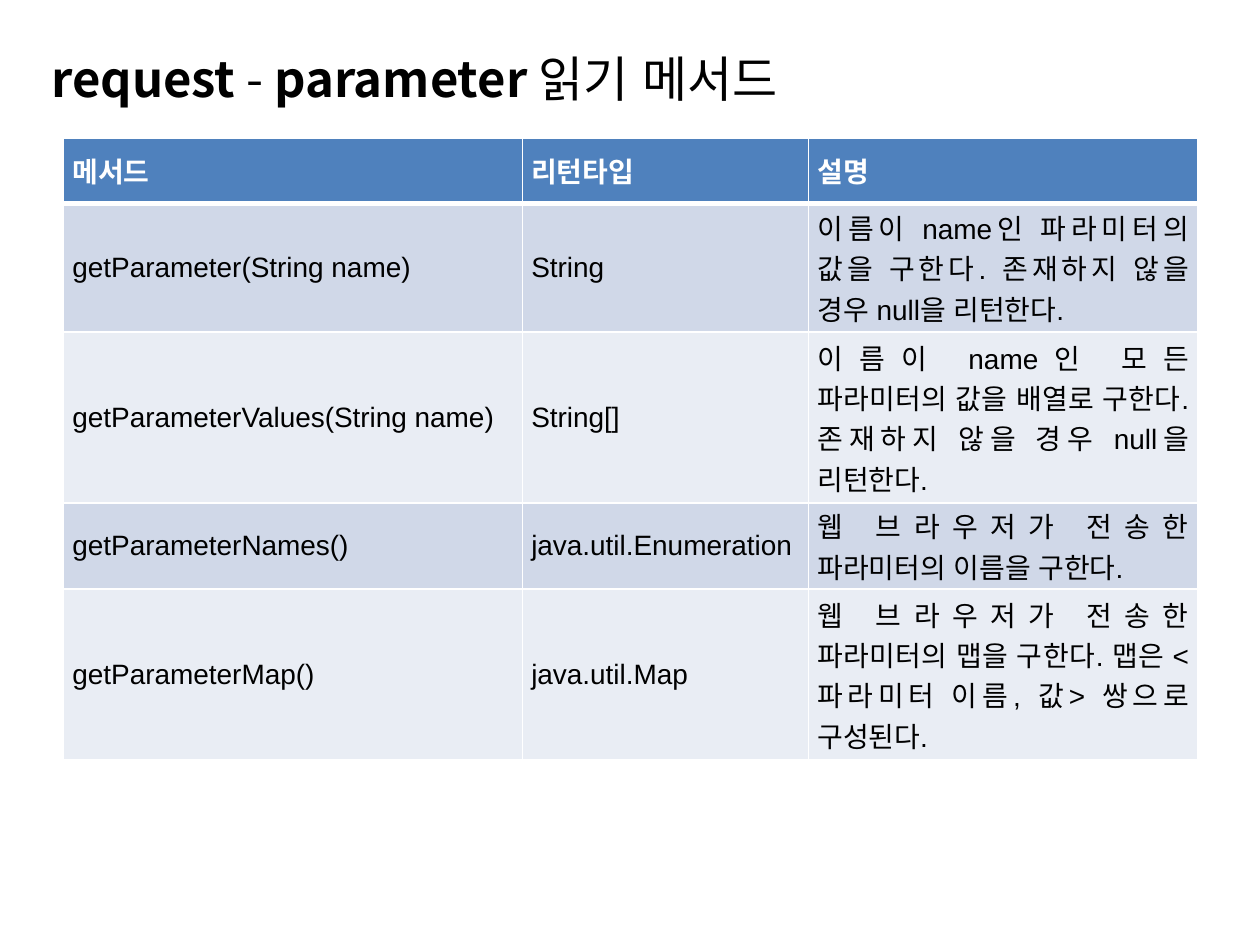
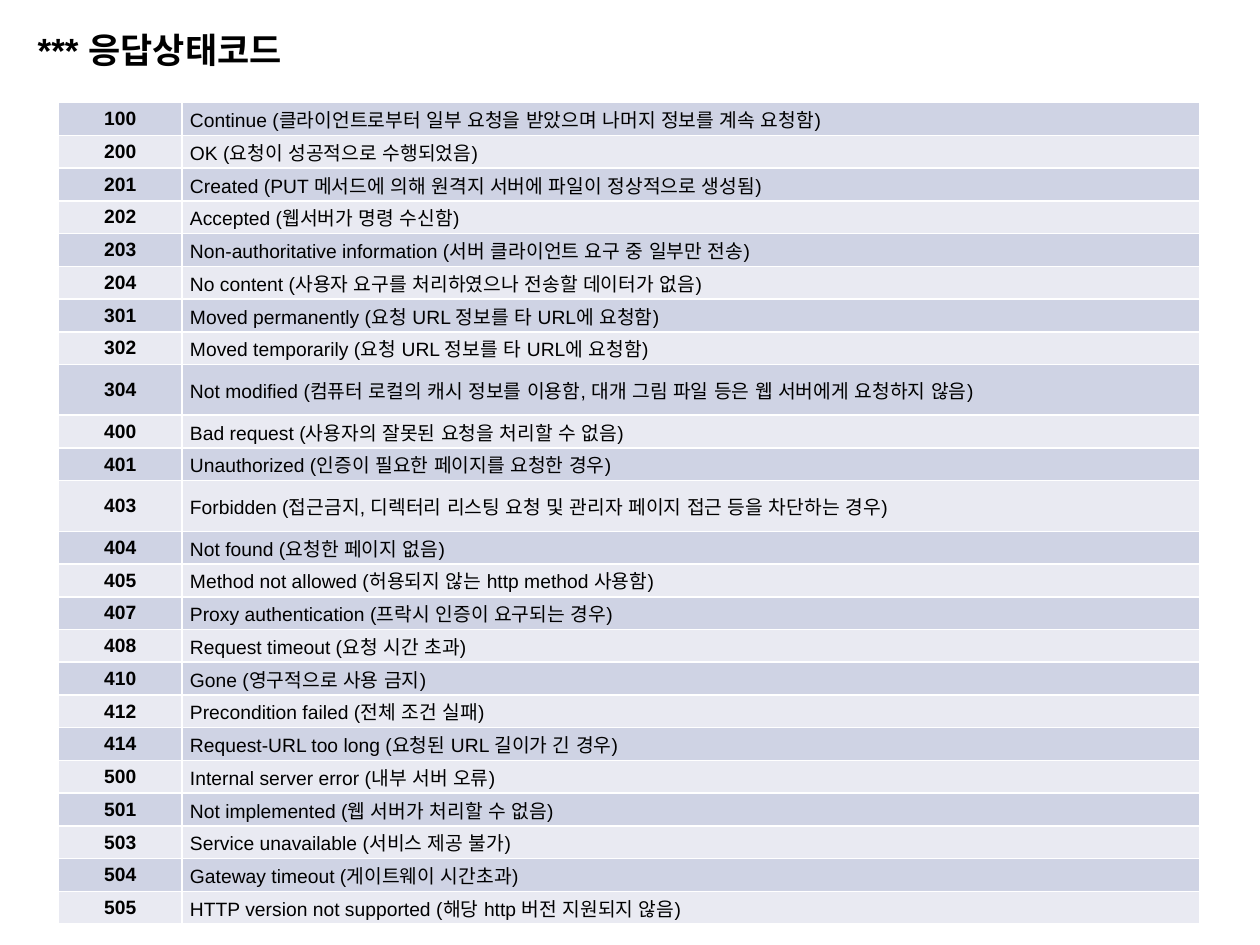
from lxml import etree
from pptx import Presentation
from pptx.dml.color import RGBColor
from pptx.enum.text import MSO_ANCHOR, PP_ALIGN
from pptx.oxml.ns import qn
from pptx.util import Cm, Pt

MIDDLE = MSO_ANCHOR.MIDDLE
LEFT, CENTER, JUSTIFY = PP_ALIGN.LEFT, PP_ALIGN.CENTER, PP_ALIGN.JUSTIFY

LATIN_FONT = "Arial"
KOREAN_FONT = "Noto Sans CJK KR"
BLACK, WHITE = "000000", "FFFFFF"
HEADER_BLUE = "4F81BD"
METHOD_BANDS = ("D0D8E8", "E9EDF4")
STATUS_BANDS = ("CFD3E4", "E9EAF2")

METHOD_ROWS = [
    ("메서드", "리턴타입", "설명"),
    ("getParameter(String name)", "String",
     "이름이 name인 파라미터의 값을 구한다. 존재하지 않을 경우 null을 리턴한다."),
    ("getParameterValues(String name)", "String[]",
     "이름이 name인 모든 파라미터의 값을 배열로 구한다. 존재하지 않을 경우 null을 리턴한다."),
    ("getParameterNames()", "java.util.Enumeration",
     "웹 브라우저가 전송한 파라미터의 이름을 구한다."),
    ("getParameterMap()", "java.util.Map",
     "웹 브라우저가 전송한 파라미터의 맵을 구한다. 맵은 <파라미터 이름, 값> 쌍으로 구성된다."),
]
METHOD_HEIGHTS = (1.32, 2.59, 3.45, 1.73, 3.45)

STATUS_ROWS = [
    ("100", "Continue (클라이언트로부터 일부 요청을 받았으며 나머지 정보를 계속 요청함)"),
    ("200", "OK (요청이 성공적으로 수행되었음)"),
    ("201", "Created (PUT 메서드에 의해 원격지 서버에 파일이 정상적으로 생성됨)"),
    ("202", "Accepted (웹서버가 명령 수신함)"),
    ("203", "Non-authoritative information (서버 클라이언트 요구 중 일부만 전송)"),
    ("204", "No content (사용자 요구를 처리하였으나 전송할 데이터가 없음)"),
    ("301", "Moved permanently (요청 URL 정보를 타 URL에 요청함)"),
    ("302", "Moved temporarily (요청 URL 정보를 타 URL에 요청함)"),
    ("304", "Not modified (컴퓨터 로컬의 캐시 정보를 이용함, 대개 그림 파일 등은 웹 서버에게 요청하지 않음)"),
    ("400", "Bad request (사용자의 잘못된 요청을 처리할 수 없음)"),
    ("401", "Unauthorized (인증이 필요한 페이지를 요청한 경우)"),
    ("403", "Forbidden (접근금지, 디렉터리 리스팅 요청 및 관리자 페이지 접근 등을 차단하는 경우)"),
    ("404", "Not found (요청한 페이지 없음)"),
    ("405", "Method not allowed (허용되지 않는 http method 사용함)"),
    ("407", "Proxy authentication (프락시 인증이 요구되는 경우)"),
    ("408", "Request timeout (요청 시간 초과)"),
    ("410", "Gone (영구적으로 사용 금지)"),
    ("412", "Precondition failed (전체 조건 실패)"),
    ("414", "Request-URL too long (요청된 URL 길이가 긴 경우)"),
    ("500", "Internal server error (내부 서버 오류)"),
    ("501", "Not implemented (웹 서버가 처리할 수 없음)"),
    ("503", "Service unavailable (서비스 제공 불가)"),
    ("504", "Gateway timeout (게이트웨이 시간초과)"),
    ("505", "HTTP version not supported (해당 http 버전 지원되지 않음)"),
]
TALL_CODES = ("304", "403")


def color(hex_code):
    """Turn a hex string into a colour."""
    return RGBColor.from_string(hex_code)


def format_run(run, size, bold=False, hex_code=BLACK, latin=LATIN_FONT):
    """Set the look of a run, with the Korean font for Hangul."""
    run.font.size = Pt(size)
    run.font.bold = bold
    run.font.name = latin
    run.font.color.rgb = color(hex_code)
    properties = run.font._element
    properties.set("lang", "ko-KR")
    east_asian = etree.Element(qn("a:ea"), typeface=KOREAN_FONT)
    properties.find(qn("a:latin")).addnext(east_asian)


def add_title(slide, left, top, parts, size, latin):
    """Add a slide title made of (text, bold) parts."""
    box = slide.shapes.add_textbox(Cm(left), Cm(top), Cm(24), Cm(1.63))
    frame = box.text_frame
    frame.word_wrap = True
    frame.vertical_anchor = MIDDLE
    for text, bold in parts:
        run = frame.paragraphs[0].add_run()
        run.text = text
        format_run(run, size, bold, latin=latin)


def set_borders(cell, top=1, bottom=1):
    """Draw white cell borders with the given top and bottom widths."""
    properties = cell._tc.get_or_add_tcPr()
    widths = {"a:lnL": 1, "a:lnR": 1, "a:lnT": top, "a:lnB": bottom}
    for position, (tag, width) in enumerate(widths.items()):
        line = etree.Element(qn(tag), w=str(Pt(width)))
        fill = etree.SubElement(line, qn("a:solidFill"))
        etree.SubElement(fill, qn("a:srgbClr"), val=WHITE)
        properties.insert(position, line)


def fill_cell(cell, text, fill, size, alignment, margins, bold, hex_code):
    """Write and colour one table cell."""
    cell.fill.solid()
    cell.fill.fore_color.rgb = color(fill)
    cell.vertical_anchor = MIDDLE
    horizontal, vertical = margins
    cell.margin_left = cell.margin_right = Cm(horizontal)
    cell.margin_top = cell.margin_bottom = Cm(vertical)
    paragraph = cell.text_frame.paragraphs[0]
    paragraph.text = text
    paragraph.alignment = alignment
    format_run(paragraph.runs[0], size, bold, hex_code)


def add_grid(slide, left, top, widths, heights):
    """Add an empty table with the given column widths and row heights."""
    frame = slide.shapes.add_table(len(heights), len(widths), Cm(left), Cm(top),
                                   Cm(sum(widths)), Cm(sum(heights)))
    table = frame.table
    table.first_row = table.horz_banding = False
    for column, width in zip(table.columns, widths):
        column.width = Cm(width)
    for row, height in zip(table.rows, heights):
        row.height = Cm(height)
    return table


def add_method_table(slide):
    """Add the table of request methods under a blue header."""
    table = add_grid(slide, 1.28, 2.78, (9.25, 5.77, 7.85), METHOD_HEIGHTS)
    for row, texts in enumerate(METHOD_ROWS):
        header = row == 0
        fill = HEADER_BLUE if header else METHOD_BANDS[(row - 1) % 2]
        for column, text in enumerate(texts):
            cell = table.cell(row, column)
            fill_cell(cell, text, fill, 16, JUSTIFY, (0.18, 0), header,
                      WHITE if header else BLACK)
            set_borders(cell, top=3 if row == 1 else 1, bottom=3 if header else 1)


def add_status_table(slide):
    """Add the banded table of response status codes."""
    heights = [1.02 if code in TALL_CODES else 0.66 for code, _ in STATUS_ROWS]
    table = add_grid(slide, 1.18, 2.07, (2.49, 20.52), heights)
    for row, texts in enumerate(STATUS_ROWS):
        for column, text in enumerate(texts):
            is_code = column == 0
            cell = table.cell(row, column)
            fill_cell(cell, text, STATUS_BANDS[row % 2], 11,
                      CENTER if is_code else LEFT, (0.16, 0.05), is_code, BLACK)
            set_borders(cell)


def main():
    """Build both slides and save them."""
    presentation = Presentation()
    presentation.slide_width, presentation.slide_height = Cm(25.4), Cm(19.05)
    blank = presentation.slide_layouts[6]

    slide = presentation.slides.add_slide(blank)
    title = [("request", True), (" - ", False), ("parameter", True),
             (" 읽기 메서드", False)]
    add_title(slide, 0.79, 0.76, title, 28, KOREAN_FONT)
    add_method_table(slide)

    slide = presentation.slides.add_slide(blank)
    add_title(slide, 0.51, 0.18, [("*** 응답상태코드", True)], 20, LATIN_FONT)
    add_status_table(slide)

    presentation.save("out.pptx")


if __name__ == "__main__":
    main()
